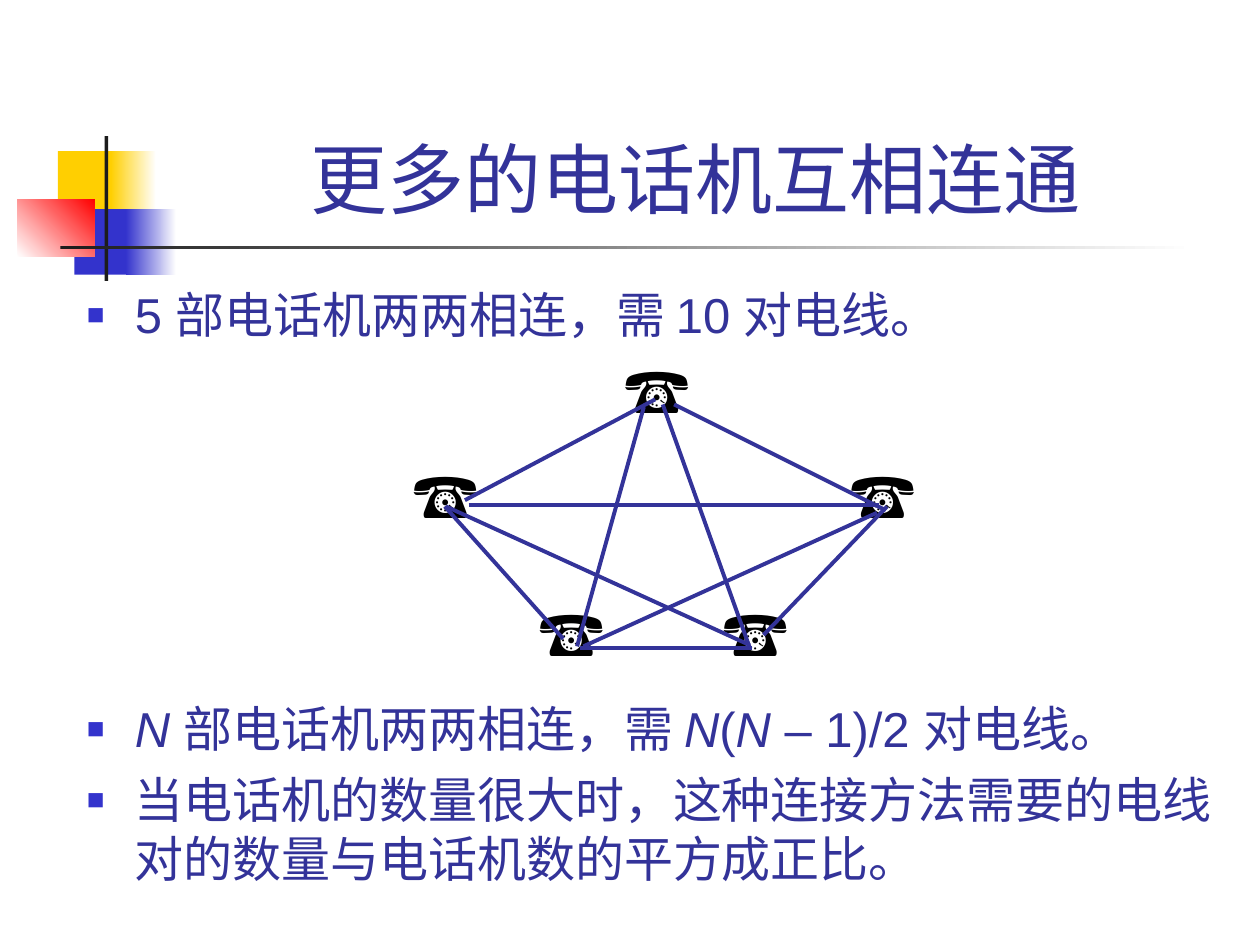
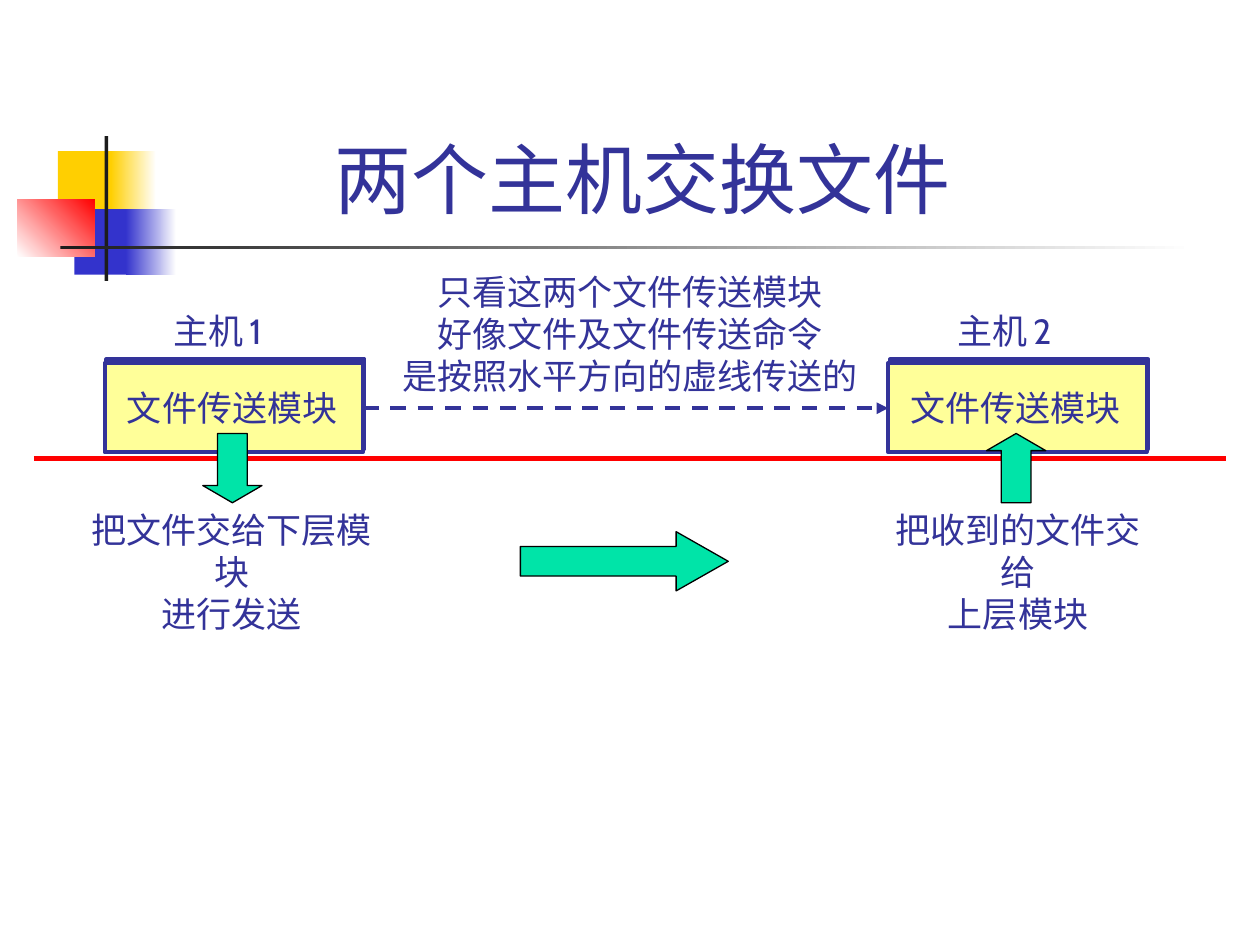
from dataclasses import dataclass
from typing import Any, NamedTuple, Optional

from lxml import etree
from pptx import Presentation
from pptx.dml.color import RGBColor
from pptx.enum.dml import MSO_LINE
from pptx.enum.shapes import MSO_CONNECTOR, MSO_SHAPE
from pptx.enum.text import MSO_ANCHOR, MSO_AUTO_SIZE, PP_ALIGN
from pptx.oxml.ns import qn
from pptx.util import Inches, Pt

RECTANGLE = MSO_SHAPE.RECTANGLE
DOWN_ARROW, UP_ARROW, RIGHT_ARROW = MSO_SHAPE.DOWN_ARROW, MSO_SHAPE.UP_ARROW, MSO_SHAPE.RIGHT_ARROW
STRAIGHT = MSO_CONNECTOR.STRAIGHT
DASH = MSO_LINE.DASH
LEFT, CENTER = PP_ALIGN.LEFT, PP_ALIGN.CENTER
BOTTOM, TOP = MSO_ANCHOR.BOTTOM, MSO_ANCHOR.TOP
NO_FIT, FIT_SHAPE = MSO_AUTO_SIZE.NONE, MSO_AUTO_SIZE.SHAPE_TO_FIT_TEXT
TITLE_AND_BODY, TITLE_ONLY = 1, 5


@dataclass(frozen=True)
class Theme:
    ink: str = "333399"
    blue: str = "3333CC"
    yellow: str = "FFCF01"
    red: str = "FF0000"
    dark: str = "1C1C1C"
    white: str = "FFFFFF"
    black: str = "000000"
    module: str = "FFFF99"
    arrow: str = "00E4A8"
    heading_font: str = "Arial"
    label_font: str = "Cabin"
    title_size: int = 44
    body_size: int = 28
    phone_size: int = 36
    label_size: int = 20
    space_size: int = 14
    line_width: float = 2.25


THEME = Theme()


class Box(NamedTuple):
    left: float
    top: float
    width: float
    height: float


class Segment(NamedTuple):
    x1: float
    y1: float
    x2: float
    y2: float


class TextRun(NamedTuple):
    text: str
    size: Optional[float] = None
    italic: bool = False


@dataclass(frozen=True)
class TextStyle:
    font: str
    size: float
    color: str = THEME.ink
    align: Any = LEFT


@dataclass(frozen=True)
class Block:
    box: Box
    color: str
    end_color: Optional[str] = None
    angle: float = 0


@dataclass(frozen=True)
class Bullet:
    runs: list[TextRun]
    space_before: float = 0


@dataclass(frozen=True)
class Host:
    """One host: its module box and everything placed relative to it."""
    left: float
    number: str
    arrow_kind: Any
    note_box: Box
    note: list[str]


TITLE_STYLE = TextStyle(THEME.heading_font, THEME.title_size, align=CENTER)
BODY_STYLE = TextStyle(THEME.heading_font, THEME.body_size)
PHONE_STYLE = TextStyle(THEME.heading_font, THEME.phone_size, THEME.black)
LABEL_STYLE = TextStyle(THEME.label_font, THEME.label_size)
NOTE_STYLE = TextStyle(THEME.label_font, THEME.label_size, align=CENTER)

# Decoration shared by both slides
DECORATION = [
    Block(Box(0.46, 1.2, 0.48, 0.52), THEME.yellow),
    Block(Box(0.88, 1.2, 0.36, 0.52), THEME.yellow, THEME.white),
    Block(Box(0.59, 1.66, 0.46, 0.52), THEME.blue),
    Block(Box(1, 1.66, 0.4, 0.52), THEME.blue, THEME.white),
    Block(Box(0.14, 1.58, 0.61, 0.46), THEME.white, THEME.red, 45),
    Block(Box(0.83, 1.08, 0.03, 1.15), THEME.dark),
    Block(Box(0.48, 1.95, 9, 0.03), THEME.dark, THEME.white),
]

# Telephone network
PHONE_WIDTH, PHONE_HEIGHT = 0.85, 0.7
PHONES = [(4.86, 2.73), (3.18, 3.57), (4.18, 4.66), (6.65, 3.57), (5.64, 4.66)]
WIRES = [
    Segment(3.69, 3.97, 5.2, 3.17),
    Segment(5.35, 3.21, 7.03, 4.05),
    Segment(3.53, 4.02, 4.47, 5.07),
    Segment(4.6, 5.14, 5.97, 5.14),
    Segment(6.06, 5.04, 7.04, 4.02),
    Segment(5.26, 3.21, 5.95, 5.14),
    Segment(5.11, 3.23, 4.58, 5.13),
    Segment(3.72, 4.01, 6.98, 4.01),
    Segment(3.54, 4.02, 5.95, 5.12),
    Segment(4.63, 5.13, 6.96, 4.07),
]
BULLETS = [
    Bullet([TextRun("5 部电话机两两相连，需 10 对电线。")]),
    Bullet([
        TextRun("N ", italic=True),
        TextRun("部电话机两两相连，需 "),
        TextRun("N", italic=True),
        TextRun("("),
        TextRun("N", italic=True),
        TextRun(" – 1)/2 对电线。"),
    ], 203),
    Bullet([TextRun("当电话机的数量很大时，这种连接方法需要的电线对的数量与电话机数的平方成正比。")], 7),
]

# File exchange
MODULE_WIDTH, MODULE_HEIGHT, MODULE_TOP = 2.05, 0.71, 2.88
HOSTS = [
    Host(0.83, "1", DOWN_ARROW, Box(0.49, 3.99, 2.7, 0.77), ["把文件交给下层模块", "进行发送"]),
    Host(7.05, "2", UP_ARROW, Box(6.87, 3.99, 2.42, 0.77), ["把收到的文件交给", "上层模块"]),
]
EXCHANGE_NOTE = ["只看这两个文件传送模块", "好像文件及文件传送命令", "是按照水平方向的虚线传送的"]


def rgb(color: str) -> RGBColor:
    return RGBColor.from_string(color)


def apply(target: Any, values: dict[str, Any]) -> None:
    for name, value in values.items():
        setattr(target, name, value)


def add_element(parent: Any, tag: str, **attributes: str) -> Any:
    return etree.SubElement(parent, qn(tag), attributes)


def place(shape: Any, box: Box) -> None:
    apply(shape, {name: Inches(value) for name, value in box._asdict().items()})


def write_runs(paragraph: Any, runs: list[TextRun], style: TextStyle) -> None:
    paragraph.alignment = style.align
    for item in runs:
        run = paragraph.add_run()
        run.text = item.text
        apply(run.font, {"name": style.font, "size": Pt(item.size or style.size),
                         "italic": item.italic, "bold": False})
        run.font.color.rgb = rgb(style.color)


def add_label(slide: Any, box: Box, lines: list[list[TextRun]], style: TextStyle) -> None:
    frame = slide.shapes.add_textbox(*map(Inches, box)).text_frame
    apply(frame, {"word_wrap": False, "auto_size": FIT_SHAPE})
    for index, runs in enumerate(lines):
        paragraph = frame.add_paragraph() if index else frame.paragraphs[0]
        write_runs(paragraph, runs, style)


def add_block(slide: Any, block: Block, kind: Any = RECTANGLE,
              outline: Optional[str] = None, width: float = 0) -> Any:
    shape = slide.shapes.add_shape(kind, *map(Inches, block.box))
    shape.shadow.inherit = False
    if block.end_color:
        shape.fill.gradient()
        shape.fill.gradient_angle = block.angle
        for stop, color in zip(shape.fill.gradient_stops, (block.color, block.end_color)):
            stop.color.rgb = rgb(color)
    else:
        shape.fill.solid()
        shape.fill.fore_color.rgb = rgb(block.color)
    if outline:
        shape.line.color.rgb = rgb(outline)
        shape.line.width = Pt(width)
    else:
        shape.line.fill.background()
    return shape


def add_arrow(slide: Any, box: Box, kind: Any, head: float) -> None:
    arrow = add_block(slide, Block(box, THEME.arrow), kind, THEME.black, 0.75)
    arrow.adjustments[0] = 0.5
    arrow.adjustments[1] = head


def add_line(slide: Any, segment: Segment, color: str = THEME.ink,
             width: float = THEME.line_width, dashed_arrow: bool = False) -> None:
    connector = slide.shapes.add_connector(STRAIGHT, *map(Inches, segment))
    connector.line.color.rgb = rgb(color)
    connector.line.width = Pt(width)
    properties = connector._element.spPr
    if dashed_arrow:
        connector.line.dash_style = DASH
        add_element(properties.find(qn("a:ln")), "a:tailEnd", type="triangle")
    add_element(properties, "a:effectLst")


def start_slide(presentation: Any, layout: int, title: str, title_width: float) -> Any:
    slide = presentation.slides.add_slide(presentation.slide_layouts[layout])
    for block in DECORATION:
        add_block(slide, block)
    place(slide.shapes.title, Box(1.26, 0.23, title_width, 1.6))
    frame = slide.shapes.title.text_frame
    apply(frame, {"vertical_anchor": BOTTOM, "word_wrap": True, "auto_size": NO_FIT})
    write_runs(frame.paragraphs[0], [TextRun(title)], TITLE_STYLE)
    return slide


def fill_bullets(placeholder: Any, bullets: list[Bullet]) -> None:
    frame = placeholder.text_frame
    apply(frame, {"vertical_anchor": TOP, "word_wrap": True, "auto_size": NO_FIT})
    hanging = Inches(0.38)
    for index, bullet in enumerate(bullets):
        paragraph = frame.add_paragraph() if index else frame.paragraphs[0]
        properties = paragraph._p.get_or_add_pPr()
        properties.set("marL", str(hanging))
        properties.set("indent", str(-hanging))
        add_element(add_element(properties, "a:buClr"), "a:srgbClr", val=THEME.blue)
        add_element(properties, "a:buSzPct", val="60000")
        add_element(properties, "a:buChar", char="■")
        paragraph.space_before = Pt(bullet.space_before)
        write_runs(paragraph, bullet.runs, BODY_STYLE)


def build_phone_network(presentation: Any) -> None:
    slide = start_slide(presentation, TITLE_AND_BODY, "更多的电话机互相连通", 8.52)
    body = slide.placeholders[1]
    place(body, Box(0.59, 2.21, 9.41, 5.29))
    fill_bullets(body, BULLETS)
    for left, top in PHONES:
        add_label(slide, Box(left, top, PHONE_WIDTH, PHONE_HEIGHT), [[TextRun("☎")]], PHONE_STYLE)
    for wire in WIRES:
        add_line(slide, wire)


def add_module(slide: Any, left: float) -> None:
    box = Box(left, MODULE_TOP, MODULE_WIDTH, MODULE_HEIGHT)
    module = add_block(slide, Block(box, THEME.module), RECTANGLE, THEME.ink, THEME.line_width)
    effects = module._element.spPr.find(qn("a:effectLst"))
    shadow = add_element(effects, "a:outerShdw", blurRad="0", dist=str(Pt(2.2)),
                         dir=str(296 * 60000), algn="ctr", rotWithShape="0")
    add_element(shadow, "a:srgbClr", val=THEME.ink)


def build_file_exchange(presentation: Any) -> None:
    slide = start_slide(presentation, TITLE_ONLY, "两个主机交换文件", 7.68)
    for host in HOSTS:
        add_module(slide, host.left)
        add_label(slide, Box(host.left + 0.08, 3.02, 1.87, 0.44),
                  [[TextRun("文件传送模块")]], LABEL_STYLE)
        name = [TextRun("主机"), TextRun(" ", THEME.space_size), TextRun(host.number)]
        add_label(slide, Box(host.left + 0.45, 2.41, 1, 0.44), [name], LABEL_STYLE)
        add_label(slide, host.note_box, [[TextRun(line)] for line in host.note], NOTE_STYLE)

    # Apparent horizontal transfer and the layer boundary
    sender, receiver = HOSTS
    add_line(slide, Segment(sender.left + MODULE_WIDTH, 3.24, receiver.left, 3.24),
             dashed_arrow=True)
    add_label(slide, Box(3.09, 2.1, 3.82, 1.1),
              [[TextRun(line)] for line in EXCHANGE_NOTE], NOTE_STYLE)
    add_line(slide, Segment(0.27, 3.64, 9.73, 3.64), THEME.red, 3)

    # Actual transfer through the lower layer
    for host in HOSTS:
        add_arrow(slide, Box(host.left + 0.78, 3.44, 0.47, 0.55), host.arrow_kind, 0.29)
    add_arrow(slide, Box(4.13, 4.22, 1.65, 0.47), RIGHT_ARROW, 0.88)


def main() -> None:
    presentation = Presentation()
    presentation.slide_width = Inches(10)
    presentation.slide_height = Inches(7.5)
    build_phone_network(presentation)
    build_file_exchange(presentation)
    presentation.save("out.pptx")


if __name__ == "__main__":
    main()
